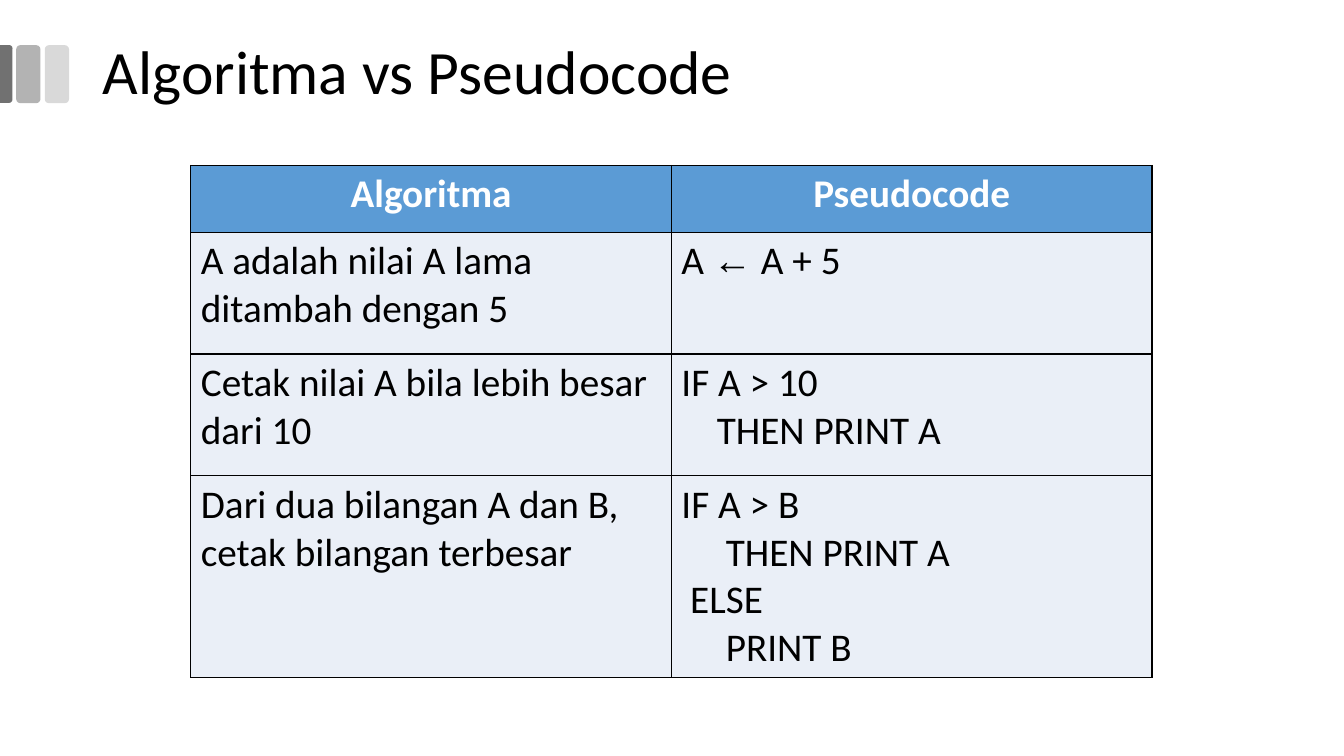
from lxml.etree import SubElement
from pptx import Presentation
from pptx.dml.color import RGBColor
from pptx.enum.shapes import MSO_SHAPE as Shape
from pptx.enum.text import MSO_ANCHOR as Anchor, MSO_AUTO_SIZE as AutoSize, PP_ALIGN as Align
from pptx.oxml.ns import qn
from pptx.util import Cm, Pt

BLACK = RGBColor(0x00, 0x00, 0x00)
WHITE = RGBColor(0xFF, 0xFF, 0xFF)
HEADER_BLUE = RGBColor(0x5B, 0x9B, 0xD5)
ROW_BLUE = RGBColor(0xEA, 0xEF, 0xF7)
LIGHT_GRAY = RGBColor(0xD9, 0xD9, 0xD9)
MID_GRAY = RGBColor(0xB3, 0xB3, 0xB3)
DARK_GRAY = RGBColor(0x71, 0x71, 0x71)

# A cell is a list of lines; a line is its indent in cm, then its runs.
HEADINGS = ["Algoritma", "Pseudocode"]
ROWS = [
    ([(0, "A adalah nilai A lama ditambah dengan 5")],
     [(0, "A ", "←", " A + 5")]),
    ([(0, "Cetak nilai A bila lebih besar dari 10")],
     [(0, "IF A > 10"), (0.89, "THEN PRINT A")]),
    ([(0, "Dari dua bilangan A dan B, cetak bilangan terbesar")],
     [(0, "IF A > B"), (1.12, "THEN PRINT A"), (0.22, "ELSE"), (1.12, "PRINT B")]),
]
ROW_HEIGHTS = [1.68, 3.07, 3.07, 5.08]
COLUMN_WIDTH = 12.11


class SlideBuilder:
    font = "Calibri"
    symbol_font = "Arial"
    title_size = Pt(44)
    table_size = Pt(28)
    border = Pt(0.96)

    def __init__(self, page):
        self.page = page

    def span(self, para, text, size, color, bold=False):
        span = para.add_run()
        span.text = text
        span.font.name = self.symbol_font if text == "←" else self.font
        span.font.size = size
        span.font.bold = bold
        span.font.color.rgb = color

    def bar(self, left, top, width, height, color, kind=Shape.ROUNDED_RECTANGLE):
        bar = self.page.shapes.add_shape(kind, Cm(left), Cm(top), Cm(width), Cm(height))
        bar.shadow.inherit = False
        bar.fill.solid()
        bar.fill.fore_color.rgb = color
        bar.line.fill.background()
        return bar

    def title(self, text, left, top, width, height):
        box = self.page.shapes.title
        box.left, box.top, box.width, box.height = Cm(left), Cm(top), Cm(width), Cm(height)
        frame = box.text_frame
        frame.word_wrap = True
        frame.auto_size = AutoSize.NONE
        frame.vertical_anchor = Anchor.MIDDLE
        para = frame.paragraphs[0]
        para.alignment = Align.LEFT
        para.line_spacing = 0.9
        self.span(para, text, self.title_size, BLACK)

    def outline(self, cell):
        properties = cell._tc.get_or_add_tcPr()
        for side in ("a:lnL", "a:lnR", "a:lnT", "a:lnB"):
            line = SubElement(properties, qn(side), w=str(int(self.border)))
            fill = SubElement(line, qn("a:solidFill"))
            SubElement(fill, qn("a:srgbClr"), val=str(BLACK))

    def cell(self, cell, lines, header=False):
        self.outline(cell)
        cell.fill.solid()
        cell.fill.fore_color.rgb = HEADER_BLUE if header else ROW_BLUE
        frame = cell.text_frame
        for number, (indent, *texts) in enumerate(lines):
            para = frame.add_paragraph() if number else frame.paragraphs[0]
            para.alignment = Align.CENTER if header else Align.LEFT
            if indent:
                para._p.get_or_add_pPr().set("marL", str(Cm(indent)))
            for text in texts:
                self.span(para, text, self.table_size, WHITE if header else BLACK, header)

    def table(self, left, top, headings, rows):
        frame = self.page.shapes.add_table(
            len(rows) + 1, len(headings), Cm(left), Cm(top),
            Cm(COLUMN_WIDTH * len(headings)), Cm(sum(ROW_HEIGHTS)))
        table = frame.table
        table.horz_banding = False
        for row, height in zip(table.rows, ROW_HEIGHTS):
            row.height = Cm(height)
        for column, heading in enumerate(headings):
            table.columns[column].width = Cm(COLUMN_WIDTH)
            self.cell(table.cell(0, column), [(0, heading)], header=True)
            for number, row in enumerate(rows, 1):
                self.cell(table.cell(number, column), row[column])


def main():
    deck = Presentation()
    deck.slide_width, deck.slide_height = Cm(33.87), Cm(19.05)
    builder = SlideBuilder(deck.slides.add_slide(deck.slide_layouts[5]))

    for left, color in ((1.13, LIGHT_GRAY), (0.41, MID_GRAY)):
        builder.bar(left, 1.14, 0.61, 1.46, color)
    edge_bar = builder.bar(-0.57, 1.71, 1.46, 0.31, DARK_GRAY, Shape.ROUND_2_SAME_RECTANGLE)
    edge_bar.adjustments[0] = 0.29
    edge_bar.rotation = 90

    builder.title("Algoritma vs Pseudocode", 2.34, 0.03, 29.21, 3.68)
    builder.table(4.81, 4.17, HEADINGS, ROWS)
    deck.save("out.pptx")


if __name__ == "__main__":
    main()
